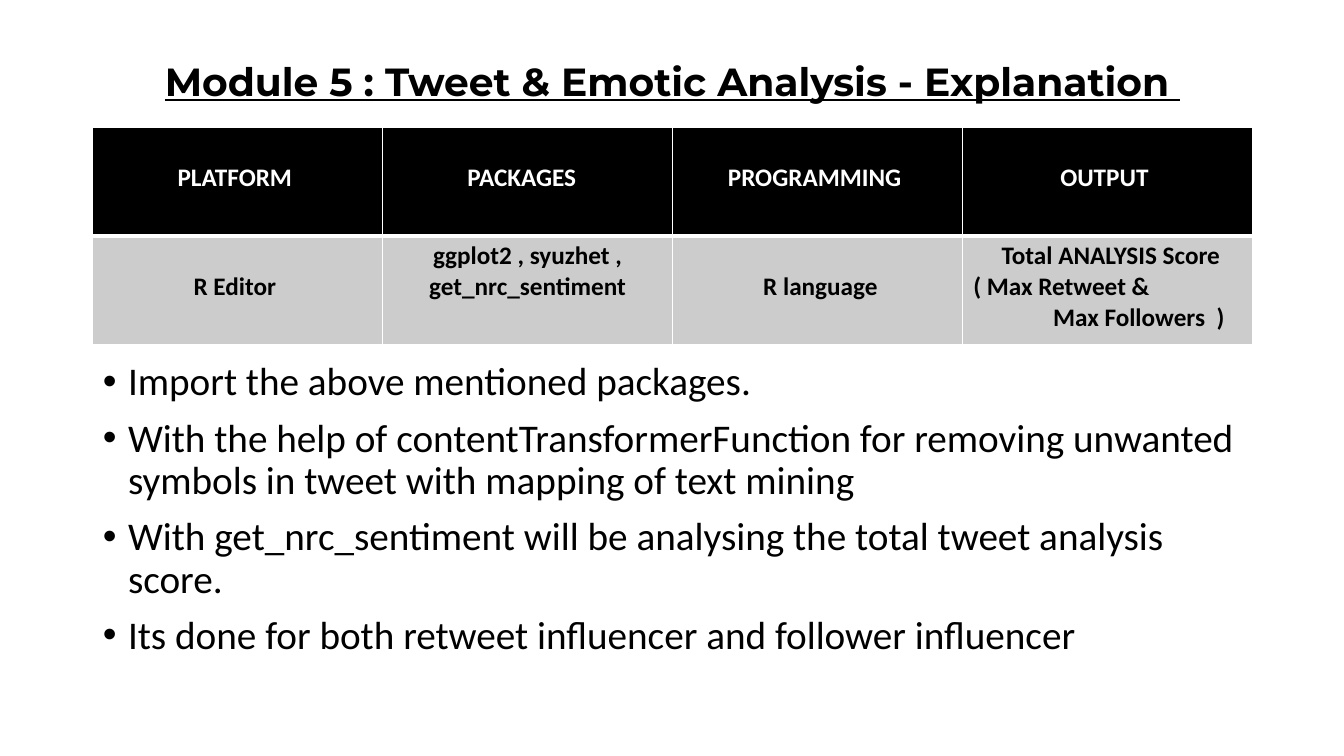
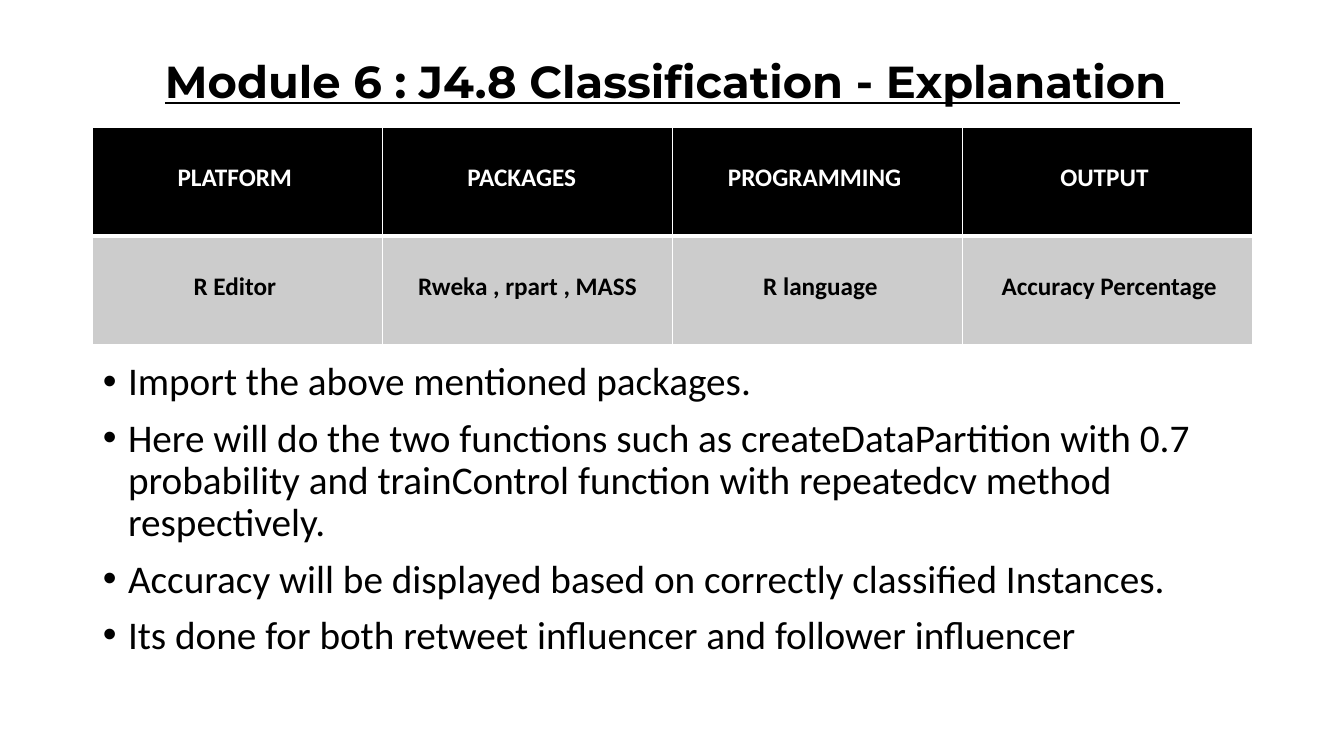
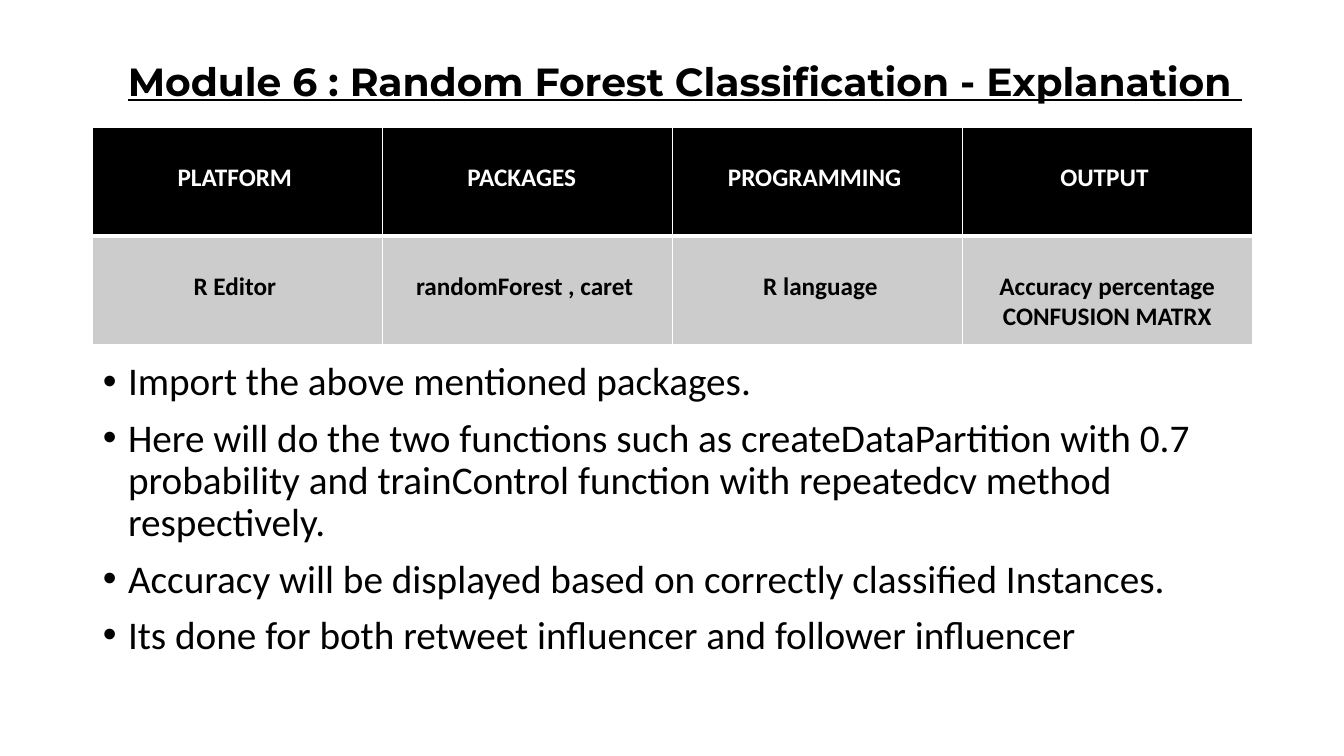
from lxml import etree
from pptx import Presentation
from pptx.dml.color import RGBColor
from pptx.enum import text
from pptx.oxml.ns import qn
from pptx.util import Inches, Pt

LEFT, WIDTH = 0.92, 11.5
ROW_HEIGHT = 1.08
CELL_INSET = 0.05
SECOND_LINE = 0.35  # top inset that drops a cell's text by one line
BLACK, WHITE, GREY = "000000", "FFFFFF", "CCCCCC"


def color(value):
    return RGBColor.from_string(value)


class Deck:
    """Holds the shared style and the slide being built."""

    title_font = dict(name="Montserrat", bold=True, underline=True)
    table_font = dict(name="Calibri", size=Pt(18), bold=True)
    list_font = dict(name="Calibri", size=Pt(28))

    def __init__(self):
        self.deck = Presentation()
        self.deck.slide_width = Inches(13.33)
        self.deck.slide_height = Inches(7.5)
        self.page = None

    def new_page(self):
        self.page = self.deck.slides.add_slide(self.deck.slide_layouts[1])

    def place(self, box, left, top, width, height, anchor):
        box.left, box.top = Inches(left), Inches(top)
        box.width, box.height = Inches(width), Inches(height)
        frame = box.text_frame
        frame.word_wrap = True
        frame.auto_size = text.MSO_AUTO_SIZE.NONE
        frame.vertical_anchor = anchor
        return frame

    def add_span(self, para, words, ink, formats):
        span = para.add_run()
        span.text = words
        for name, value in formats.items():
            setattr(span.font, name, value)
        span.font.color.rgb = color(ink)

    def paragraphs(self, frame, count):
        """The first paragraph of a frame, then new ones up to count."""
        yield frame.paragraphs[0]
        for _ in range(count - 1):
            yield frame.add_paragraph()

    def indent(self, para, left, first=0):
        properties = para._p.get_or_add_pPr()
        properties.set("marL", str(Inches(left)))
        properties.set("indent", str(Inches(first)))
        return properties

    def title(self, words, size=28, width=WIDTH):
        frame = self.place(self.page.shapes.title, LEFT, 0.4, width, 0.86,
                           text.MSO_ANCHOR.MIDDLE)
        para = frame.paragraphs[0]
        para.alignment = text.PP_ALIGN.CENTER
        para.line_spacing = 0.9
        self.add_span(para, words, BLACK, dict(self.title_font, size=Pt(size)))

    def bullets(self, items):
        frame = self.place(self.page.placeholders[1], LEFT, 3.54, WIDTH, 3.96,
                           text.MSO_ANCHOR.TOP)
        for para, words in zip(self.paragraphs(frame, len(items)), items):
            para.line_spacing = 0.9
            para.space_before = Pt(10)
            properties = self.indent(para, 0.25, -0.25)
            etree.SubElement(properties, qn("a:buChar"), char="•")
            self.add_span(para, words, BLACK, self.list_font)

    def borders(self, cell, widths):
        properties = cell._tc.get_or_add_tcPr()
        for index, (side, width) in enumerate(widths.items()):
            line = etree.Element(qn("a:ln" + side), w=str(Pt(width)))
            fill = etree.SubElement(line, qn("a:solidFill"))
            etree.SubElement(fill, qn("a:srgbClr"), val=WHITE)
            properties.insert(index, line)

    def cell(self, cell, lines, top, ink, fill):
        """Lines are (words, indent); an indent of None means centred."""
        cell.margin_left = cell.margin_right = cell.margin_bottom = Inches(CELL_INSET)
        cell.margin_top = Inches(top)
        cell.fill.solid()
        cell.fill.fore_color.rgb = color(fill)
        paras = self.paragraphs(cell.text_frame, len(lines))
        for para, (words, left) in zip(paras, lines):
            if left is None:
                para.alignment = text.PP_ALIGN.CENTER
            else:
                para.alignment = text.PP_ALIGN.LEFT
                self.indent(para, left)
            self.add_span(para, words, ink, self.table_font)

    def table(self, rows):
        table = self.page.shapes.add_table(
            len(rows), len(rows[0]), Inches(LEFT), Inches(1.26),
            Inches(WIDTH), Inches(ROW_HEIGHT * len(rows))).table
        table.horz_banding = False
        looks = [(WHITE, BLACK, dict(L=1, R=1, T=1, B=3)),
                 (BLACK, GREY, dict(L=1, R=1, T=3, B=1))]
        for r, (row, (ink, fill, widths)) in enumerate(zip(rows, looks)):
            table.rows[r].height = Inches(ROW_HEIGHT)
            for c, (lines, top) in enumerate(row):
                cell = table.cell(r, c)
                self.cell(cell, lines, top, ink, fill)
                self.borders(cell, widths)


def entry(*lines, top=SECOND_LINE):
    return lines, top


# Content shared by the modules
HEADER = [entry(("PLATFORM ", None)), entry(("PACKAGES", 0.79)),
          entry(("PROGRAMMING ", None)), entry(("OUTPUT ", None))]
PLATFORM = entry(("R Editor ", None))
LANGUAGE = entry(("R language", 0.85))
FIRST_STEP = "Import the above mentioned packages."
LAST_STEP = "Its done for both retweet influencer and follower influencer"
CLASSIFY_STEPS = [
    "Here will do the two functions such as createDataPartition with 0.7 "
    "probability and trainControl function with repeatedcv method respectively.",
    "Accuracy will be displayed based on correctly classified Instances.",
]

# What differs: title format, packages, output, middle steps
MODULES = [
    (dict(words="Module 5 : Tweet & Emotic Analysis - Explanation "),
     entry(("ggplot2 , syuzhet , get_nrc_sentiment", None), top=CELL_INSET),
     entry(("Total ANALYSIS Score", 0.34), ("( Max Retweet &", 0.06),
           ("Max Followers  )", 0.85), top=CELL_INSET),
     ["With the help of contentTransformerFunction for removing unwanted "
      "symbols in tweet with mapping of text mining",
      "With get_nrc_sentiment will be analysing the total tweet analysis score."]),
    (dict(words="Module 6 : J4.8 Classification - Explanation ", size=32),
     entry(("Rweka , rpart , MASS", None)),
     entry(("Accuracy Percentage", 0.34)),
     CLASSIFY_STEPS),
    (dict(words="Module 6 : Random Forest Classification - Explanation ", width=11.75),
     entry(("randomForest , caret ", None)),
     entry(("Accuracy percentage CONFUSION MATRX", None)),
     CLASSIFY_STEPS),
]


def main():
    deck = Deck()
    for title, packages, output, steps in MODULES:
        deck.new_page()
        deck.title(**title)
        deck.table([HEADER, [PLATFORM, packages, LANGUAGE, output]])
        deck.bullets([FIRST_STEP, *steps, LAST_STEP])
    deck.deck.save("out.pptx")


if __name__ == "__main__":
    main()
